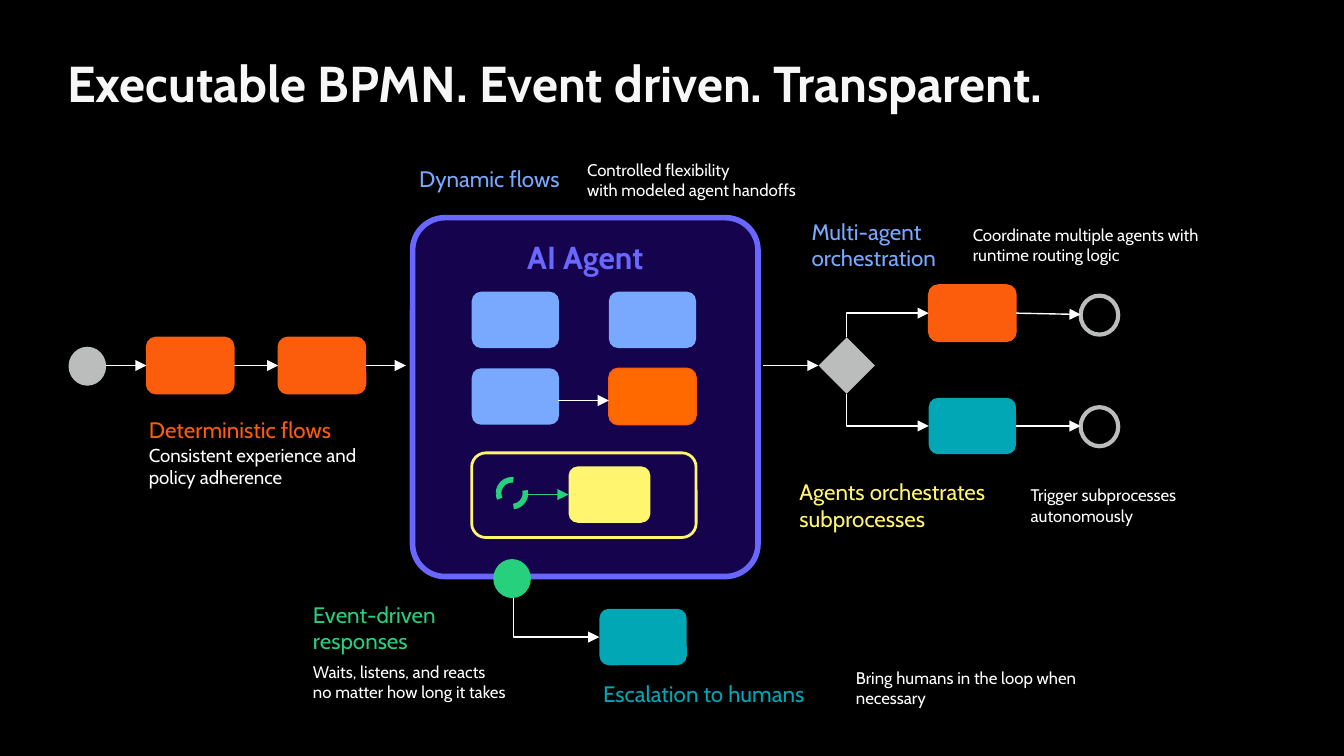
from lxml.etree import SubElement
from pptx import Presentation
from pptx.dml.color import RGBColor
from pptx.enum.dml import MSO_LINE
from pptx.enum.shapes import MSO_CONNECTOR, MSO_SHAPE
from pptx.enum.text import MSO_ANCHOR, MSO_AUTO_SIZE, PP_ALIGN
from pptx.oxml.ns import qn
from pptx.util import Emu, Pt

PX_PER_INCH = 100
FONT = "Cabin"
WHITE, GREY, ORANGE, BLUE = "FFFFFF", "BBBCBC", "FC5D0D", "78A9FF"
TEAL, GREEN, YELLOW, VIOLET = "01A7B5", "26D07C", "FFF56F", "6967FF"
TASK_SIZE = (65, 42)
EVENT_SIZE = (28, 29)
TOP, LEFT, BOTTOM, RIGHT = range(4)

LABELS = [
    ((302, 113, 253, 34), [("Dynamic flows", 12, BLUE)]),
    ((594, 152, 161, 53), [("Multi-agent orchestration", 12, BLUE)]),
    ((585, 346, 215, 53), [("Agents orchestrates subprocesses", 12, YELLOW)]),
    ((101, 300, 180, 34), [("Deterministic flows", 12, ORANGE),
                           ("Consistent experience and policy adherence", 10, WHITE)]),
    ((223, 437, 128, 53), [("Event-driven", 12, GREEN), ("responses", 12, GREEN)]),
    ((439, 496, 233, 34), [("Escalation to humans", 12, TEAL)]),
]
NOTES = [
    (427, 109, "Controlled flexibility \vwith modeled agent handoffs"),
    (714, 157, "Coordinate multiple agents with runtime routing logic"),
    (757, 351, "Trigger subprocesses autonomously"),
    (627, 487, "Bring humans in the loop when necessary"),
    (223, 482, "Waits, listens, and reacts \vno matter how long it takes"),
]


def px(length):
    return Emu(round(length * 914400 / PX_PER_INCH))


def rgb(color):
    return RGBColor.from_string(color)


def style_paragraph(paragraph, text, size, color, bold=False):
    paragraph.text = text
    font = paragraph.font
    font.name, font.size, font.bold = FONT, Pt(size), bold
    font.color.rgb = rgb(color)


def set_insets(frame, left, top, right, bottom):
    frame.margin_left, frame.margin_top = px(left), px(top)
    frame.margin_right, frame.margin_bottom = px(right), px(bottom)


def add_label(slide, box, lines):
    frame = slide.shapes.add_textbox(*map(px, box)).text_frame
    frame.word_wrap = True
    set_insets(frame, 10, 10, 10, 10)
    for index, line in enumerate(lines):
        paragraph = frame.add_paragraph() if index else frame.paragraphs[0]
        style_paragraph(paragraph, *line)


def add_node(slide, preset, box, fill=None, outline=None, weight=0.75, corner=0.167):
    node = slide.shapes.add_shape(preset, *map(px, box))
    node.shadow.inherit = False
    if preset == MSO_SHAPE.ROUNDED_RECTANGLE:
        node.adjustments[0] = corner
    if fill:
        node.fill.solid()
        node.fill.fore_color.rgb = rgb(fill)
    else:
        node.fill.background()
    if outline:
        node.line.color.rgb = rgb(outline)
        node.line.width = Pt(weight)
    else:
        node.line.fill.background()
    return node


def add_task(slide, left, top, fill, outline=None):
    return add_node(slide, MSO_SHAPE.ROUNDED_RECTANGLE, (left, top, *TASK_SIZE), fill, outline)


def add_event(slide, left, top, fill=None, outline=None):
    return add_node(slide, MSO_SHAPE.OVAL, (left, top, *EVENT_SIZE), fill, outline, 2.25)


def turn_corner(flow):
    start_x, start_y, end_x, end_y = flow.begin_x, flow.begin_y, flow.end_x, flow.end_y
    across, down = end_x - start_x, abs(end_y - start_y)
    flow.left = (start_x + end_x - down) // 2
    flow.top = (start_y + end_y - across) // 2
    flow.width, flow.height = down, across
    properties = flow._element.spPr
    properties.find(qn("a:prstGeom")).set("prst", "bentConnector2")
    frame = properties.find(qn("a:xfrm"))
    frame.attrib.pop("flipV", None)
    frame.set("rot", str(270 * 60000))
    frame.set("flipH", "1" if end_y > start_y else "0")


def add_flow(slide, start, end, source=None, target=None, color=WHITE, corner=False):
    kind = MSO_CONNECTOR.ELBOW if corner else MSO_CONNECTOR.STRAIGHT
    flow = slide.shapes.add_connector(kind, *map(px, start + end))
    if source:
        flow.begin_connect(*source)
    if target:
        flow.end_connect(*target)
    if corner:
        turn_corner(flow)
    flow.line.color.rgb = rgb(color)
    flow.line.width = Pt(0.75)
    SubElement(flow.line._get_or_add_ln(), qn("a:tailEnd"), type="triangle")
    SubElement(flow._element.spPr, qn("a:effectLst"))


def add_title(slide):
    title = slide.shapes.title
    title.left, title.top, title.width, title.height = map(px, (50, 39, 900, 45))
    frame = title.text_frame
    frame.auto_size = MSO_AUTO_SIZE.NONE
    frame.vertical_anchor = MSO_ANCHOR.MIDDLE
    set_insets(frame, 0, 0, 0, 0)
    paragraph = frame.paragraphs[0]
    style_paragraph(paragraph, "Executable BPMN. Event driven. Transparent.", 27, "F7F7F7", True)
    paragraph.alignment = PP_ALIGN.LEFT


def add_agent(slide):
    agent = add_node(slide, MSO_SHAPE.ROUNDED_RECTANGLE, (307, 162, 257, 267),
                     "280892", VIOLET, 3, 0.094)
    fill_color = agent._element.spPr.find(qn("a:solidFill")).find(qn("a:srgbClr"))
    SubElement(fill_color, qn("a:alpha"), val="53000")
    frame = agent.text_frame
    frame.vertical_anchor = MSO_ANCHOR.TOP
    set_insets(frame, 10, 8, 10, 10)
    heading = frame.paragraphs[0]
    style_paragraph(heading, "AI Agent", 17, VIOLET, True)
    heading.alignment = PP_ALIGN.CENTER

    for left, top in ((351, 217), (453, 217), (351, 274)):
        add_task(slide, left, top, BLUE)
    add_task(slide, 453, 274, "FF6900", ORANGE)
    add_flow(slide, (415, 298), (453, 298))

    add_node(slide, MSO_SHAPE.ROUNDED_RECTANGLE, (351, 337, 167, 63), None, YELLOW, 1.5)
    trigger = add_node(slide, MSO_SHAPE.OVAL, (371, 357, 20, 20), None, GREEN, 3)
    trigger.line.dash_style = MSO_LINE.DASH
    subprocess_task = add_node(slide, MSO_SHAPE.ROUNDED_RECTANGLE, (423, 347, 61, 42), YELLOW)
    add_flow(slide, (392, 368), (423, 368), target=(subprocess_task, LEFT), color=GREEN)


def add_deterministic_flow(slide):
    add_event(slide, 51, 258, GREY)
    first, second = [add_task(slide, left, 251, ORANGE, ORANGE) for left in (109, 207)]
    add_flow(slide, (79, 272), (109, 272), target=(first, LEFT))
    add_flow(slide, (174, 272), (207, 272), (first, RIGHT), (second, LEFT))
    add_flow(slide, (272, 272), (302, 272), source=(second, RIGHT))


def add_routing(slide):
    gateway = add_node(slide, MSO_SHAPE.DIAMOND, (609, 251, 42, 42), GREY)
    add_flow(slide, (568, 272), (609, 272), target=(gateway, LEFT))
    branches = ((212, 220, TOP, ORANGE, ORANGE), (296, 303, BOTTOM, TEAL, None))
    for task_top, end_top, side, fill, outline in branches:
        task = add_task(slide, 691, task_top, fill, outline)
        add_event(slide, 804, end_top, outline=GREY)
        middle = task_top + 21
        add_flow(slide, (630, 272), (691, middle), (gateway, side), (task, LEFT), corner=True)
        add_flow(slide, (756, middle), (804, end_top + 14), source=(task, RIGHT))


def add_escalation(slide):
    add_event(slide, 367, 416, GREEN)
    human_task = add_task(slide, 446, 453, TEAL)
    add_flow(slide, (382, 445), (446, 474), target=(human_task, LEFT), corner=True)


def main():
    deck = Presentation()
    deck.slide_width = px(1000)
    deck.slide_height = deck.slide_width * 9 // 16
    slide = deck.slides.add_slide(deck.slide_layouts[5])
    slide.background.fill.solid()
    slide.background.fill.fore_color.rgb = rgb("000000")
    add_title(slide)
    add_agent(slide)
    add_deterministic_flow(slide)
    add_routing(slide)
    add_escalation(slide)
    for box, lines in LABELS:
        add_label(slide, box, lines)
    for left, top, text in NOTES:
        add_label(slide, (left, top, 192, 50), [(text, 9, WHITE)])
    deck.save("out.pptx")


if __name__ == "__main__":
    main()
